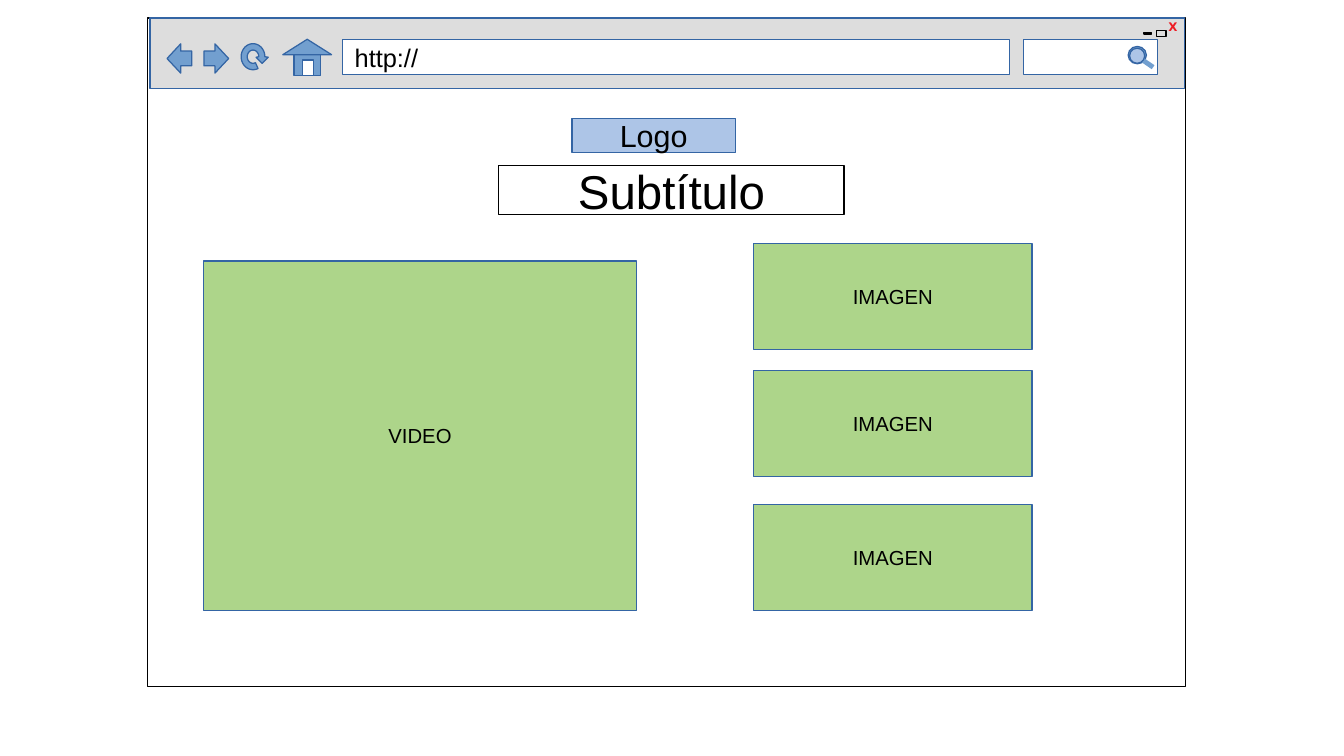
import math

from pptx import Presentation
from pptx.dml.color import RGBColor
from pptx.enum.shapes import MSO_SHAPE
from pptx.enum.text import MSO_ANCHOR, MSO_AUTO_SIZE, PP_ALIGN
from pptx.util import Pt

RECT, OVAL = MSO_SHAPE.RECTANGLE, MSO_SHAPE.OVAL
LEFT, CENTER = PP_ALIGN.LEFT, PP_ALIGN.CENTER
TOP, MIDDLE = MSO_ANCHOR.TOP, MSO_ANCHOR.MIDDLE
NO_AUTOFIT = MSO_AUTO_SIZE.NONE
TITLE_ONLY = 5

COLORS = {
    "white": "FFFFFF", "black": "000000", "toolbar": "DDDDDD", "edge": "3465A4",
    "icon": "729FCF", "pale": "ADC5E7", "media": "ADD58A", "close": "ED1C24",
}


def color(name):
    """Return the named palette colour."""
    return RGBColor.from_string(COLORS[name])


def paint(shape, fill, line):
    """Set fill and outline, either of which may be None."""
    if fill:
        shape.fill.solid()
        shape.fill.fore_color.rgb = color(fill)
    else:
        shape.fill.background()
    if line:
        shape.line.color.rgb = color(line)
        shape.line.width = Pt(0.75)
    else:
        shape.line.fill.background()


def write(shape, text, size, align=CENTER, anchor=MIDDLE, insets=(7.2, 3.6),
          ink="black", font="Arial", bold=False):
    """Put one formatted line of text into a shape."""
    frame = shape.text_frame
    side, end = map(Pt, insets)
    frame_format = {
        "text": text, "word_wrap": True, "auto_size": NO_AUTOFIT,
        "vertical_anchor": anchor, "margin_left": side, "margin_right": side,
        "margin_top": end, "margin_bottom": end,
    }
    for name, value in frame_format.items():
        setattr(frame, name, value)
    paragraph = frame.paragraphs[0]
    paragraph.alignment = align
    run_font = paragraph.runs[0].font
    for name, value in {"size": Pt(size), "name": font, "bold": bold}.items():
        setattr(run_font, name, value)
    run_font.color.rgb = color(ink)


def add_block(shapes, box, fill, line="edge", kind=RECT):
    """Add a preset shape whose box is given in points."""
    block = shapes.add_shape(kind, *map(Pt, box))
    block.shadow.inherit = False
    paint(block, fill, line)
    return block


def add_outline(shapes, points):
    """Add a closed icon outline through points."""
    corners = [(Pt(x), Pt(y)) for x, y in points]
    builder = shapes.build_freeform(*corners[0], scale=1.0)
    builder.add_line_segments(corners[1:], close=True)
    icon = builder.convert_to_shape()
    icon.shadow.inherit = False
    paint(icon, "icon", "edge")


def add_arrow(shapes, tail, direction):
    """Add a navigation arrow pointing left (-1) or right (1)."""
    neck, tip = tail + 6.5 * direction, tail + 14.6 * direction
    add_outline(shapes, [(tail, 30.2), (neck, 30.2), (neck, 25.9), (tip, 34.6),
                         (neck, 43.2), (neck, 38.9), (tail, 38.9)])


def arc(radius_x, radius_y, degrees):
    """Return points on an arc around the reload icon's centre."""
    return [(149.4 + radius_x * math.cos(math.radians(angle)),
             33.5 + radius_y * math.sin(math.radians(angle))) for angle in degrees]


def add_reload(shapes):
    """Add the circular reload arrow."""
    sweep = range(0, -296, -5)
    head = [(158.4, 33.8), (154.8, 37.4), (151.2, 33.8)]
    add_outline(shapes, arc(3.4, 3.9, sweep) + arc(7, 7.7, reversed(sweep)) + head)


def add_home(shapes):
    """Add the house icon."""
    add_block(shapes, (173.5, 29.5, 15.8, 15.1), "icon")
    add_outline(shapes, [(181.4, 23.2), (195.8, 32.3), (167, 32.3)])
    add_block(shapes, (178.4, 35.4, 6.5, 9), "white")


def add_search(shapes):
    """Add the search field with its magnifier."""
    add_block(shapes, (604.1, 23.2, 79.2, 20.9), "white")
    add_block(shapes, (666, 27.4, 10.8, 10.3), "icon", kind=OVAL)
    add_block(shapes, (668.9, 34.6, 13, 2.9), "icon", line=None).rotation = 34.3
    add_block(shapes, (666.9, 28.5, 8.9, 8.9), "pale", kind=OVAL)


def add_window_controls(shapes):
    """Add the close, maximise and minimise marks."""
    close = shapes.add_textbox(*map(Pt, (682.7, 7.9, 23, 27.4)))
    write(close, "X", 7, align=LEFT, anchor=TOP, ink="close",
          font="DejaVu Sans", bold=True)
    add_block(shapes, (682.6, 18.2, 5.8, 3.4), None, "black")
    add_block(shapes, (675.4, 19.4, 4.3, 0.7), "black", "black")


def add_browser(slide):
    """Add the grouped browser window and its toolbar."""
    shapes = slide.shapes.add_group_shape().shapes
    add_block(shapes, (87.1, 10.6, 612.7, 394.6), "white", "black")
    add_block(shapes, (88.6, 10.6, 610.6, 41.8), "toolbar")
    add_arrow(shapes, 113.2, -1)
    add_arrow(shapes, 120.4, 1)
    add_home(shapes)
    add_reload(shapes)
    address = add_block(shapes, (202.3, 23.2, 393.8, 20.9), "white")
    write(address, "http://", 15, align=LEFT)
    add_search(shapes)
    add_window_controls(shapes)


def add_subtitle(slide):
    """Place the title placeholder in front of the browser window."""
    subtitle = slide.shapes.title
    subtitle.element.getparent().append(subtitle.element)
    position = zip(("left", "top", "width", "height"), (294.5, 97.9, 203.8, 28.8))
    for name, value in position:
        setattr(subtitle, name, Pt(value))
    paint(subtitle, None, "black")
    write(subtitle, "Subtítulo", 28, insets=(0, 0))


def add_content(slide):
    """Add the logo, video and image areas."""
    write(add_block(slide.shapes, (337.7, 69.8, 96.5, 20.2), "pale"), "Logo", 18)
    media = [("VIDEO", (120.2, 154.1, 255.6, 206.6))]
    media += [("IMAGEN", (445, top, 164.2, 62.6)) for top in (144, 218.9, 298.1)]
    for label, box in media:
        write(add_block(slide.shapes, box, "media"), label, 12)


def main():
    """Build the wireframe slide."""
    deck = Presentation()
    deck.slide_width, deck.slide_height = Pt(793.44), Pt(446.4)
    slide = deck.slides.add_slide(deck.slide_layouts[TITLE_ONLY])
    add_browser(slide)
    add_subtitle(slide)
    add_content(slide)
    deck.save("out.pptx")


if __name__ == "__main__":
    main()
